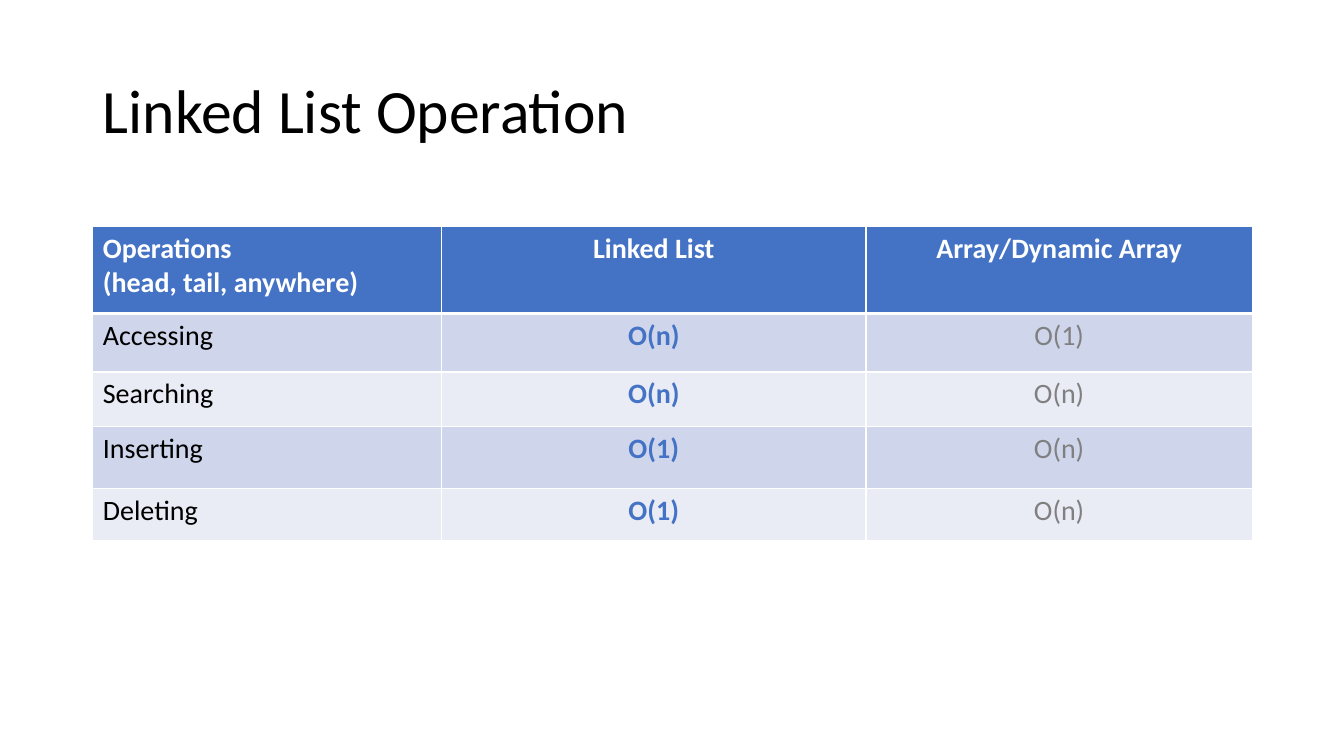
from lxml import etree
from pptx import Presentation
from pptx import util as u
from pptx.dml import color
from pptx.enum import text
from pptx.oxml import ns

FONT = "Calibri"
WHITE, BLACK, BLUE, GREY = "FFFFFF", "000000", "4472C4", "808080"
BANDS = ("CFD5EA", "E9EBF5")
COLUMN_WIDTHS = (3.46, 4.21, 3.83)
ROW_HEIGHTS = (0.86, 0.58, 0.54, 0.62, 0.51)
COLUMN_STYLES = ((BLACK, False), (BLUE, True), (GREY, False))
OPERATIONS = (
    ("Operations\n(head, tail, anywhere)", "Linked List", "Array/Dynamic Array"),
    ("Accessing", "O(n)", "O(1)"),
    ("Searching", "O(n)", "O(n)"),
    ("Inserting", "O(1)", "O(n)"),
    ("Deleting", "O(1)", "O(n)"),
)


def rgb(value):
    return color.RGBColor.from_string(value)


def format_text(frame, size, ink, bold, align):
    for para in frame.paragraphs:
        para.alignment = align
        for span in para.runs:
            span.font.name = FONT
            span.font.size = u.Pt(size)
            span.font.bold = bold
            span.font.color.rgb = rgb(ink)


def add_borders(cell, widths):
    properties = cell._tc.get_or_add_tcPr()
    for side, width in zip("LRTB", widths):
        line = etree.SubElement(properties, ns.qn(f"a:ln{side}"), w=str(u.Pt(width)))
        fill = etree.SubElement(line, ns.qn("a:solidFill"))
        etree.SubElement(fill, ns.qn("a:srgbClr"), val=WHITE)


def fill_title(page, box):
    title = page.shapes.title
    title.left, title.top, title.width, title.height = map(u.Inches, box)
    frame = title.text_frame
    frame.text = "Linked List Operation"
    frame.word_wrap = True
    frame.auto_size = text.MSO_AUTO_SIZE.NONE
    frame.vertical_anchor = text.MSO_ANCHOR.MIDDLE
    frame.paragraphs[0].line_spacing = 0.9
    format_text(frame, 44, BLACK, False, text.PP_ALIGN.LEFT)


def add_operations_table(page, box):
    shape = page.shapes.add_table(
        len(ROW_HEIGHTS), len(COLUMN_WIDTHS), *map(u.Inches, box))
    table = shape.table
    for column, width in zip(table.columns, COLUMN_WIDTHS):
        column.width = u.Inches(width)
    for row, height in zip(table.rows, ROW_HEIGHTS):
        row.height = u.Inches(height)
    for r, labels in enumerate(OPERATIONS):
        for c, label in enumerate(labels):
            cell = table.cell(r, c)
            cell.text = label
            ink, bold = (WHITE, True) if r == 0 else COLUMN_STYLES[c]
            align = text.PP_ALIGN.CENTER if c else text.PP_ALIGN.LEFT
            format_text(cell.text_frame, 20, ink, bold, align)
            add_borders(cell, (1, 1, 3 if r == 1 else 1, 3 if r == 0 else 1))
            cell.fill.solid()
            cell.fill.fore_color.rgb = rgb(BANDS[(r - 1) % 2] if r else BLUE)


def main():
    deck = Presentation()
    deck.slide_width, deck.slide_height = u.Inches(13.33), u.Inches(7.5)
    page = deck.slides.add_slide(deck.slide_layouts[5])
    left, width = 0.92, sum(COLUMN_WIDTHS)
    fill_title(page, (left, 0.4, width, 1.45))
    add_operations_table(page, (left, 2.25, width, sum(ROW_HEIGHTS)))
    deck.save("out.pptx")


if __name__ == "__main__":
    main()
